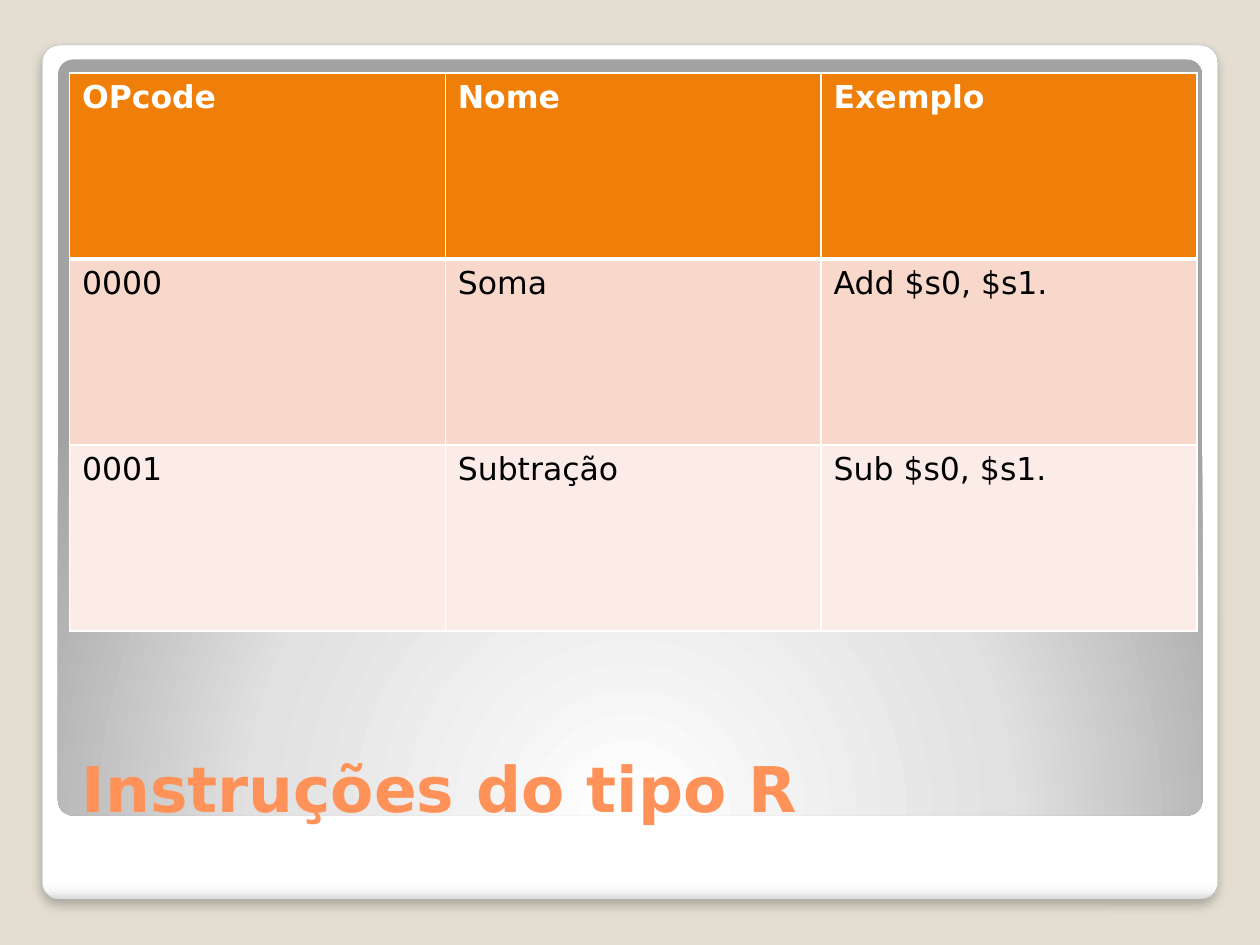
from lxml import etree
from pptx import Presentation
from pptx.dml.color import RGBColor
from pptx.enum.shapes import MSO_SHAPE
from pptx.enum.text import MSO_ANCHOR
from pptx.oxml import parse_xml
from pptx.oxml.ns import nsdecls, qn
from pptx.util import Cm, Pt

COLORS = {
    "background": "E3DED1", "white": "FFFFFF", "black": "000000",
    "title": "FF9258", "outline": "A4A4A4", "header": "F07F09",
    "band_dark": "F9D8CC", "band_light": "FCECE7",
}
FRAME_STOPS = [(0, "FFFFFF"), (98, "FFFFFF"), (99, "F7F7F7"), (100, "DADADA")]
PANEL_STOPS = [(0, "FFFFFF"), (55, "E1E1E1"), (100, "A2A2A2")]
LINEAR_DOWN = '<a:lin ang="5400000" scaled="0"/>'
RADIAL_BELOW = ('<a:path path="circle"><a:fillToRect l="50000" t="175000" '
                'r="50000" b="-75000"/></a:path>')
INSTRUCTIONS = [
    ["OPcode", "Nome", "Exemplo"],
    ["0000", "Soma", "Add $s0, $s1."],
    ["0001", "Subtração", "Sub $s0, $s1."],
]


def rgb(name):
    """Return the named colour."""
    return RGBColor.from_string(COLORS[name])


class SlideBuilder:
    """Hold the style and the current slide."""

    font = "DejaVu Sans"

    def __init__(self, slide):
        """Take the slide and paint its background."""
        self.slide = slide
        slide.background.fill.solid()
        slide.background.fill.fore_color.rgb = rgb("background")

    def add_run(self, paragraph, text, size, color, bold):
        """Add one formatted run."""
        run = paragraph.add_run()
        run.text = text
        run.font.name = self.font
        run.font.size = Pt(size)
        run.font.bold = bold
        run.font.color.rgb = rgb(color)

    def add_panel(self, left, top, width, height, stops, direction):
        """Add a rounded panel with a gradient fill and no line."""
        shape = self.slide.shapes.add_shape(
            MSO_SHAPE.ROUNDED_RECTANGLE, Cm(left), Cm(top), Cm(width), Cm(height))
        shape.adjustments[0] = 0.02
        shape.shadow.inherit = False
        shape.line.fill.background()
        shape.fill.gradient()
        stop_xml = "".join(
            f'<a:gs pos="{position * 1000}"><a:srgbClr val="{color}"/></a:gs>'
            for position, color in stops)
        properties = shape._element.spPr
        properties.replace(properties.find(qn("a:gradFill")), parse_xml(
            f'<a:gradFill {nsdecls("a")} rotWithShape="1">'
            f"<a:gsLst>{stop_xml}</a:gsLst>{direction}</a:gradFill>"))
        return shape

    def add_shadow(self, shape, opacity, blur, distance):
        """Give a shape a soft shadow that falls straight down."""
        effects = shape._element.spPr.find(qn("a:effectLst"))
        shadow = etree.SubElement(
            effects, qn("a:outerShdw"), blurRad=str(Pt(blur)),
            dist=str(Pt(distance)), dir="5400000", algn="t", rotWithShape="0")
        color = etree.SubElement(shadow, qn("a:srgbClr"), val=COLORS["black"])
        etree.SubElement(color, qn("a:alpha"), val=str(opacity * 1000))

    def add_title(self, left, top, width, height, text):
        """Add the title, resting on the bottom of its box."""
        frame = self.slide.shapes.add_textbox(
            Cm(left), Cm(top), Cm(width), Cm(height)).text_frame
        frame.word_wrap = True
        frame.vertical_anchor = MSO_ANCHOR.BOTTOM
        self.add_run(frame.paragraphs[0], text, 36, "title", True)

    def set_borders(self, cell, top, bottom):
        """Draw white cell borders, 1 pt wide at the sides."""
        properties = cell._tc.get_or_add_tcPr()
        sides = [("L", 1), ("R", 1), ("T", top), ("B", bottom)]
        for index, (side, width) in enumerate(sides):
            properties.insert(index, parse_xml(
                f'<a:ln{side} {nsdecls("a")} w="{Pt(width)}"><a:solidFill>'
                f'<a:srgbClr val="{COLORS["white"]}"/></a:solidFill></a:ln{side}>'))

    def add_table(self, left, top, width, height, rows):
        """Add a table with a header row and two band colours."""
        table = self.slide.shapes.add_table(
            len(rows), len(rows[0]), Cm(left), Cm(top), Cm(width), Cm(height)).table
        fills = ["header", "band_dark", "band_light"]
        for row_index, row in enumerate(rows):
            header = row_index == 0
            for column_index, text in enumerate(row):
                cell = table.cell(row_index, column_index)
                cell.fill.solid()
                cell.fill.fore_color.rgb = rgb(fills[row_index])
                self.set_borders(cell, 3 if row_index == 1 else 1, 3 if header else 1)
                self.add_run(cell.text_frame.paragraphs[0], text, 18,
                             "white" if header else "black", header)


def main():
    """Build and save the slide."""
    presentation = Presentation()
    presentation.slide_width, presentation.slide_height = Cm(25.4), Cm(19.05)
    builder = SlideBuilder(
        presentation.slides.add_slide(presentation.slide_layouts[6]))

    frame = builder.add_panel(0.85, 0.91, 23.7, 17.22, FRAME_STOPS, LINEAR_DOWN)
    frame.line.color.rgb = rgb("outline")
    frame.line.width = Pt(0.16)
    builder.add_shadow(frame, opacity=25, blur=6, distance=4)
    builder.add_panel(1.17, 1.2, 23.07, 15.24, PANEL_STOPS, RADIAL_BELOW)

    builder.add_title(1.4, 13.84, 22.73, 2.92, "Instruções do tipo R")
    builder.add_table(1.4, 1.47, 22.73, 11.25, INSTRUCTIONS)
    presentation.save("out.pptx")


main()
